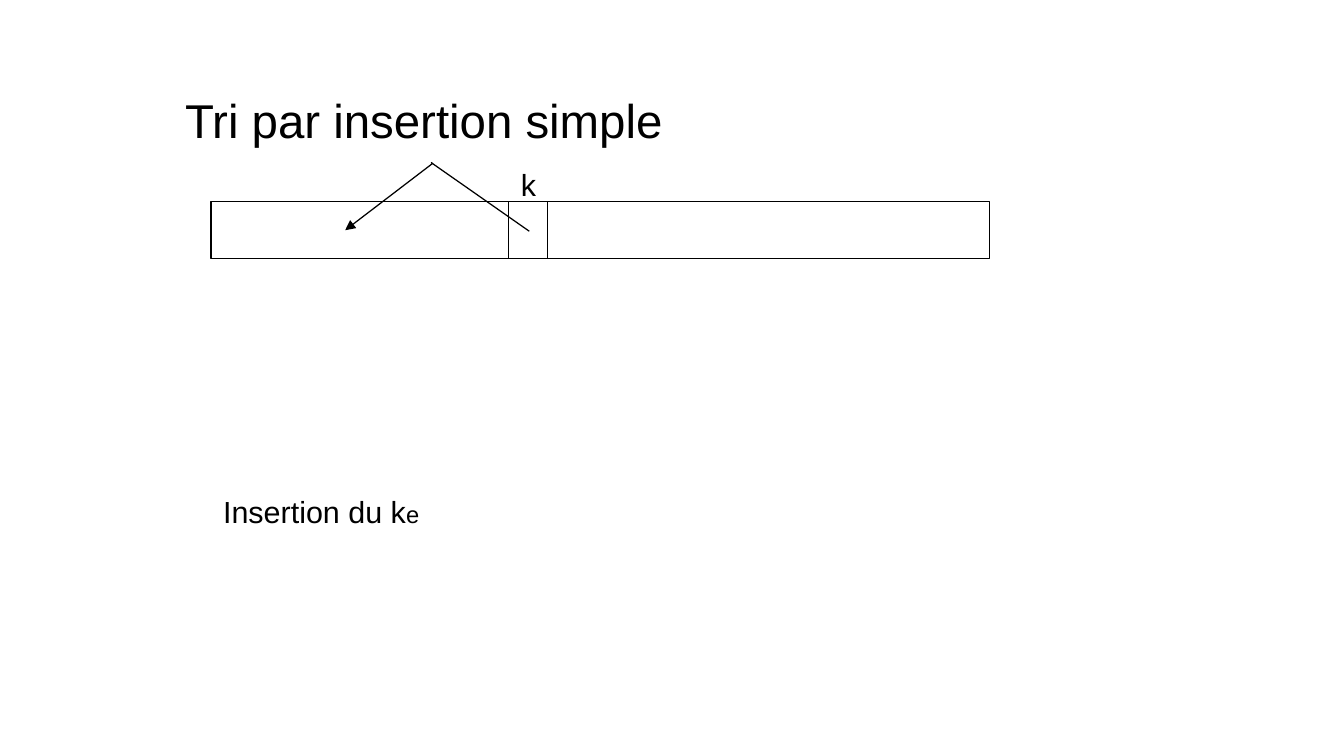
"""Build the slide on simple insertion sort."""
from lxml.etree import SubElement as Sub
from pptx import Presentation
from pptx.dml.color import RGBColor as Rgb
from pptx.enum.shapes import MSO_CONNECTOR as Conn, MSO_SHAPE as Shape
from pptx.oxml.ns import qn
from pptx.util import Pt

HUES = {"ink": "000000", "paper": "FFFFFF", "blue": "3465A4"}
FONT = "Arial"

deck = Presentation()
deck.slide_width, deck.slide_height = Pt(793.5), Pt(446.5)
slide = deck.slides.add_slide(deck.slide_layouts[6])


def write(*runs, left, top, width, height, inset=3.6):
    box = slide.shapes.add_textbox(Pt(left), Pt(top), Pt(width), Pt(height))
    frame = box.text_frame
    frame.word_wrap = True
    frame.margin_left = frame.margin_right = Pt(7.2)
    frame.margin_top, frame.margin_bottom = Pt(inset), Pt(3.6)
    para = frame.paragraphs[0]
    para.line_spacing = 0.93
    for text, size in runs:
        run = para.add_run()
        run.text = text
        run.font.name, run.font.size = FONT, Pt(size)
        run.font.color.rgb = Rgb.from_string(HUES["ink"])


def draw(start, end, hue="ink", arrow=False):
    ends = [Pt(n) for n in (*start, *end)]
    line = slide.shapes.add_connector(Conn.STRAIGHT, *ends)
    line.line.width = Pt(0.75)
    line.line.color.rgb = Rgb.from_string(HUES[hue])
    props = line._element.spPr
    if arrow:
        Sub(props.find(qn("a:ln")), qn("a:tailEnd"), type="triangle")
    Sub(props, qn("a:effectLst"))


left, top, width, height = 124.6, 118.8, 459.4, 34
cell = 300.4, 323.2

write(("Tri par insertion simple", 28),
      left=102.2, top=51.1, width=430.6, height=38.2, inset=5.8)

bar = slide.shapes.add_shape(Shape.RECTANGLE, Pt(left), Pt(top), Pt(width), Pt(height))
bar.shadow.inherit = False
bar.fill.solid()
bar.fill.fore_color.rgb = Rgb.from_string(HUES["paper"])
bar.line.color.rgb = Rgb.from_string(HUES["ink"])
bar.line.width = Pt(0.75)

write(("Insertion du k", 18), ("e", 14),
      left=left, top=289.4, width=294.5, height=27.4)
write(("k", 18), left=cell[0], top=96.5, width=22.3, height=27.4)

for edge in cell:
    draw((edge, top), (edge, top + height))

draw((312.5, 136.6), (254.5, 96))
draw((255.6, 96.4), (203.8, 136), arrow=True)
for path in ():
    pass

deck.save("out.pptx")
